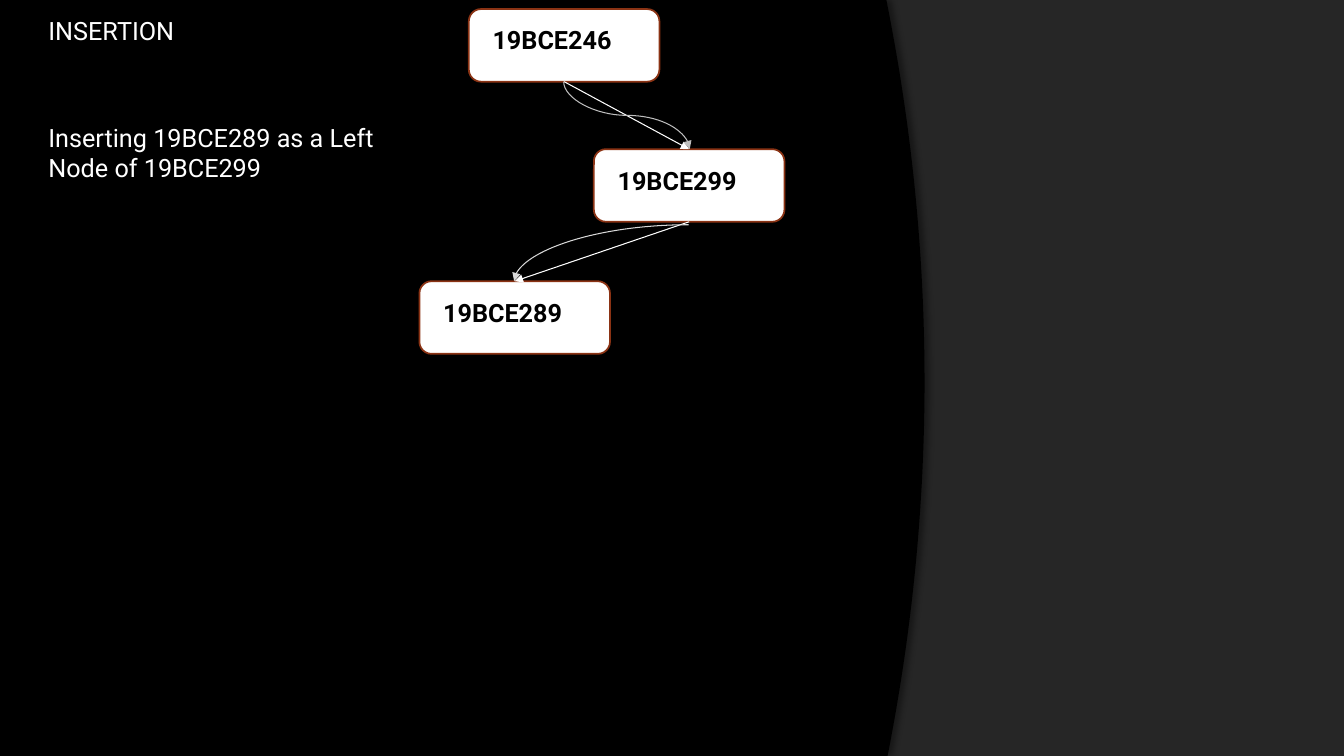
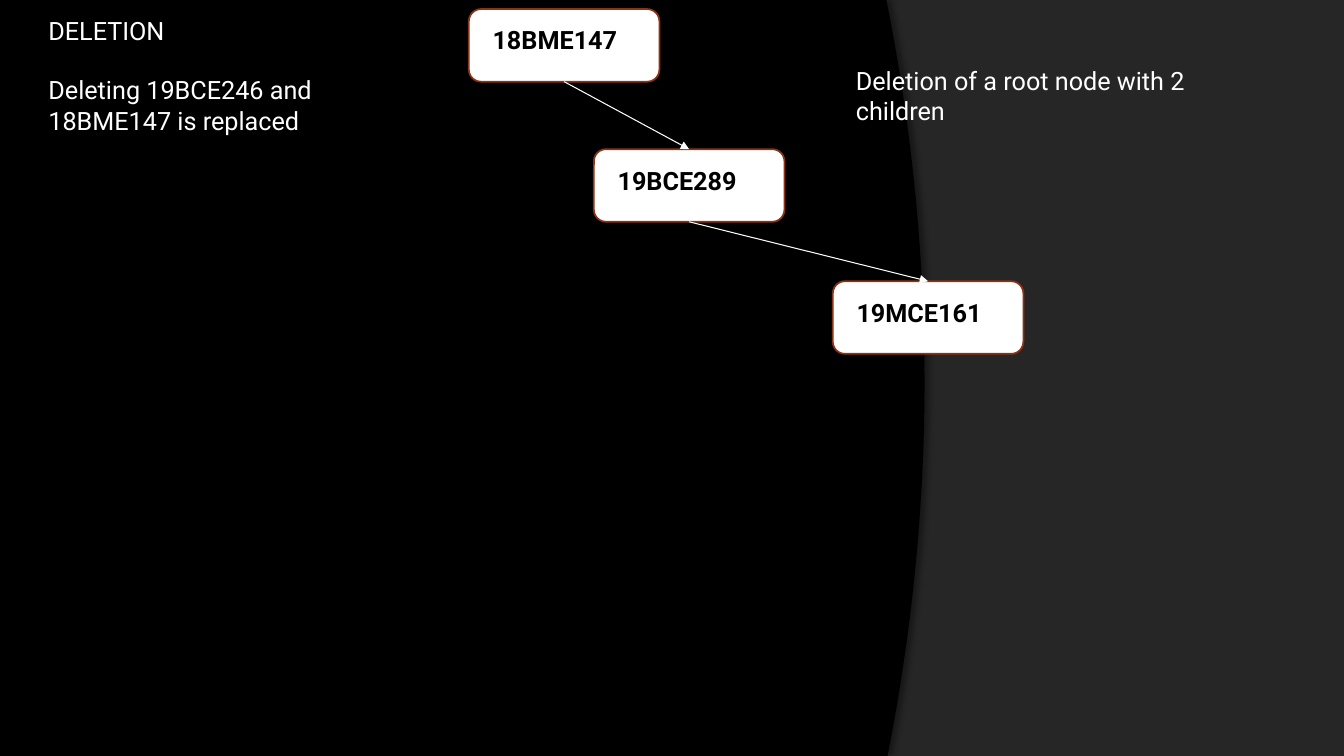
from dataclasses import dataclass

from lxml import etree
from pptx import Presentation
from pptx.dml.color import RGBColor
from pptx.enum.shapes import MSO_CONNECTOR as Connector, MSO_SHAPE as Shape
from pptx.enum.text import MSO_ANCHOR as Anchor, MSO_AUTO_SIZE as AutoSize, PP_ALIGN as Align
from pptx.oxml.ns import qn
from pptx.util import Inches, Pt


@dataclass(frozen=True)
class Theme:
    font: str = "Roboto"
    text_size: int = 18
    black: str = "000000"
    panel: str = "262626"
    white: str = "FFFFFF"
    node_line: str = "8B3314"
    curve_grey: str = "BFBFBF"
    curve_light: str = "D9D9D9"
    node_line_width: float = 1.25
    arrow_width: float = 0.75


THEME = Theme()
SLIDE_WIDTH, SLIDE_HEIGHT = 13.33, 7.5
NODE_WIDTH, NODE_HEIGHT = 1.89, 0.72
LEVEL_TOPS = (0.09, 1.48, 2.79)
TITLE_BOX = (0.38, 0.1, 3.62, 0.4)

# Each tree is a chain: (label, left), one node per level.
# A curve is (style, from, to, colour).
SLIDES = [
    {
        "title": "INSERTION",
        "body": ("Inserting 19BCE289 as a Left Node of 19BCE299", (0.38, 1.16, 3.44, 1.01)),
        "nodes": [("19BCE246", 4.65), ("19BCE299", 5.89), ("19BCE289", 4.16)],
        "curves": [
            ("s-curve", (5.59, 0.81), (6.84, 1.48), THEME.curve_grey),
            ("quarter", (6.83, 2.23), (5.1, 2.79), THEME.curve_light),
        ],
    },
    {
        "title": "DELETION",
        "body": ("Deleting 19BCE246 and 18BME147 is replaced", (0.38, 0.69, 3.44, 0.71)),
        "nodes": [("18BME147", 4.65), ("19BCE289", 5.89), ("19MCE161", 8.26)],
        "note": ("Deletion of a root node with 2 children", (8.39, 0.6, 4, 0.71)),
    },
]


def rgb(colour):
    return RGBColor.from_string(colour)


def inches(values):
    return [Inches(value) for value in values]


def write(shape, text, colour=THEME.white, bold=False, margins=(0.1, 0.05)):
    frame = shape.text_frame
    frame.text = text
    frame.word_wrap = True
    frame.auto_size = AutoSize.NONE
    frame.vertical_anchor = Anchor.TOP
    frame.margin_left = frame.margin_right = Inches(margins[0])
    frame.margin_top = frame.margin_bottom = Inches(margins[1])
    paragraph = frame.paragraphs[0]
    paragraph.alignment = Align.LEFT
    paragraph.space_before = Pt(0)
    font = paragraph.font
    font.name, font.size, font.bold = THEME.font, Pt(THEME.text_size), bold
    font.color.rgb = rgb(colour)
    return paragraph


def fill_placeholder(placeholder, text, box):
    placeholder.left, placeholder.top, placeholder.width, placeholder.height = inches(box)
    properties = write(placeholder, text)._p.get_or_add_pPr()
    properties.set("marL", "0")
    properties.set("indent", "0")
    etree.SubElement(properties, qn("a:buNone"))
    # Bullets come before the default run properties.
    run_defaults = properties.find(qn("a:defRPr"))
    if run_defaults is not None:
        properties.append(run_defaults)


def add_backdrop(layout, slide):
    """Give the layout its grey ground and the black area with a bowed right edge."""
    layout.background.fill.solid()
    layout.background.fill.fore_color.rgb = rgb(THEME.panel)

    steps = 50
    heights = [SLIDE_HEIGHT * step / steps for step in range(steps + 1)]
    edge = [(9.17 - 0.0265 * (y - 3.78) ** 2, y) for y in heights]
    builder = slide.shapes.build_freeform(0, 0)
    builder.add_line_segments([inches(point) for point in edge + [(0, SLIDE_HEIGHT)]])
    area = builder.convert_to_shape()
    area.fill.solid()
    area.fill.fore_color.rgb = rgb(THEME.black)
    area.line.fill.background()
    area.shadow.inherit = False
    effects = area.element.spPr.find(qn("a:effectLst"))
    shadow = etree.SubElement(effects, qn("a:outerShdw"), blurRad=str(Pt(4)), dist=str(Pt(3)), dir="0")
    colour = etree.SubElement(shadow, qn("a:srgbClr"), val=THEME.black)
    etree.SubElement(colour, qn("a:alpha"), val="40000")
    area.element.nvSpPr.cNvPr.set("id", "20")
    layout.shapes.element.insert(2, area.element)


def add_node(slide, label, left, top):
    node = slide.shapes.add_shape(Shape.ROUNDED_RECTANGLE, *inches((left, top, NODE_WIDTH, NODE_HEIGHT)))
    node.shadow.inherit = False
    node.fill.solid()
    node.fill.fore_color.rgb = rgb(THEME.white)
    node.line.color.rgb = rgb(THEME.node_line)
    node.line.width = Pt(THEME.node_line_width)
    write(node, label, THEME.black, bold=True, margins=(0.2, 0.12))
    return node


def add_arrow(slide, kind, start, end, colour=THEME.white):
    arrow = slide.shapes.add_connector(kind, *inches(start + end))
    arrow.line.color.rgb = rgb(colour)
    arrow.line.width = Pt(THEME.arrow_width)
    etree.SubElement(arrow.line._get_or_add_ln(), qn("a:tailEnd"), type="triangle")
    etree.SubElement(arrow.element.spPr, qn("a:effectLst"))
    return arrow


def add_curve(slide, style, start, end, colour):
    if style == "quarter":
        curve = add_arrow(slide, Connector.CURVE, start, end, colour)
        curve.element.spPr.find(qn("a:prstGeom")).set("prst", "curvedConnector2")
        return
    # An S-curve leaves downwards: lay it out sideways, then turn it about its centre.
    (x1, y1), (x2, y2) = start, end
    centre_x, centre_y = (x1 + x2) / 2, (y1 + y2) / 2
    half_width, half_height = (y2 - y1) / 2, (x2 - x1) / 2
    curve = add_arrow(
        slide, Connector.CURVE,
        (centre_x + half_width, centre_y - half_height),
        (centre_x - half_width, centre_y + half_height), colour)
    curve.element.spPr.find(qn("a:xfrm")).set("rot", str(270 * 60000))


def add_tree(slide, nodes):
    shapes = [add_node(slide, label, left, top) for (label, left), top in zip(nodes, LEVEL_TOPS)]
    for parent, child in zip(shapes, shapes[1:]):
        arrow = add_arrow(slide, Connector.STRAIGHT, (0, 0), (1, 1))
        arrow.begin_connect(parent, 2)
        arrow.end_connect(child, 0)


def main():
    presentation = Presentation()
    presentation.slide_width = Inches(SLIDE_WIDTH)
    presentation.slide_height = Inches(SLIDE_HEIGHT)
    layout = presentation.slide_layouts[1]
    for index, content in enumerate(SLIDES):
        slide = presentation.slides.add_slide(layout)
        if index == 0:
            add_backdrop(layout, slide)
        fill_placeholder(slide.shapes.title, content["title"], TITLE_BOX)
        fill_placeholder(slide.placeholders[1], *content["body"])
        add_tree(slide, content["nodes"])
        for curve in content.get("curves", []):
            add_curve(slide, *curve)
        if "note" in content:
            text, box = content["note"]
            write(slide.shapes.add_textbox(*inches(box)), text)
    presentation.save("out.pptx")


if __name__ == "__main__":
    main()
